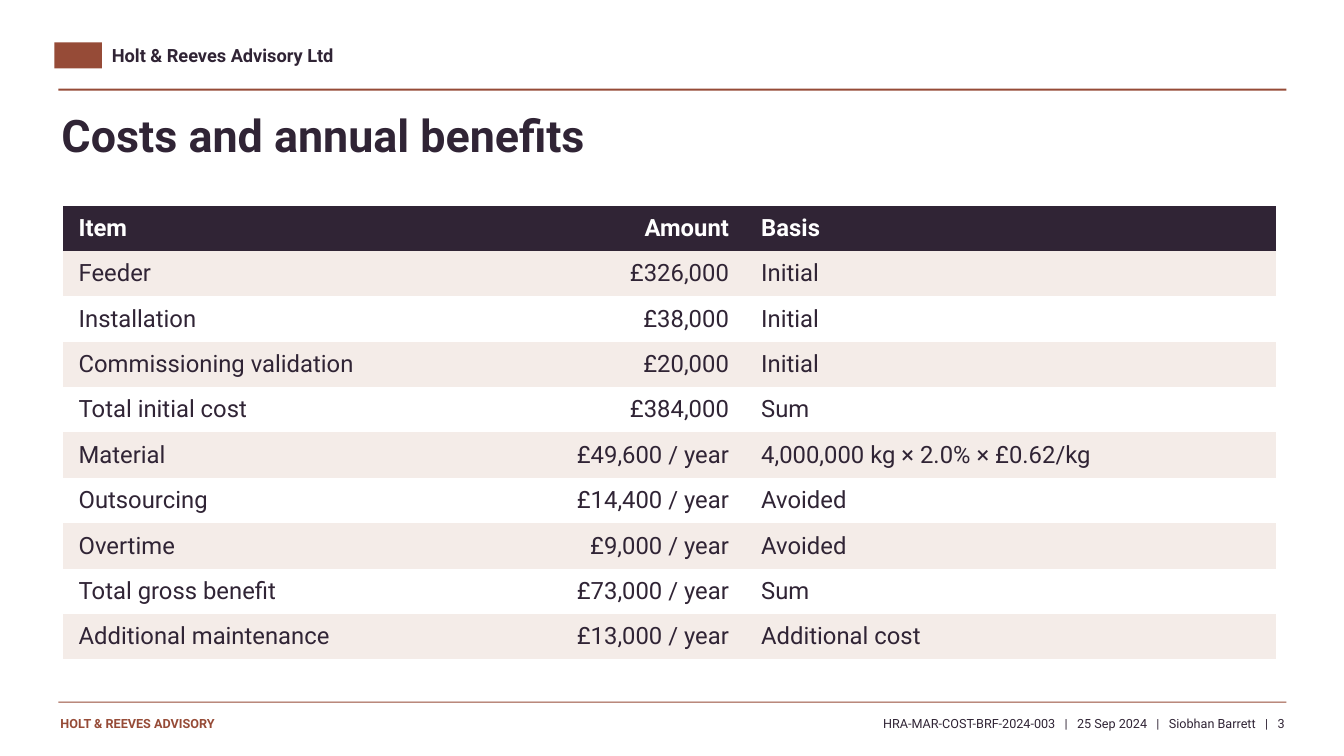
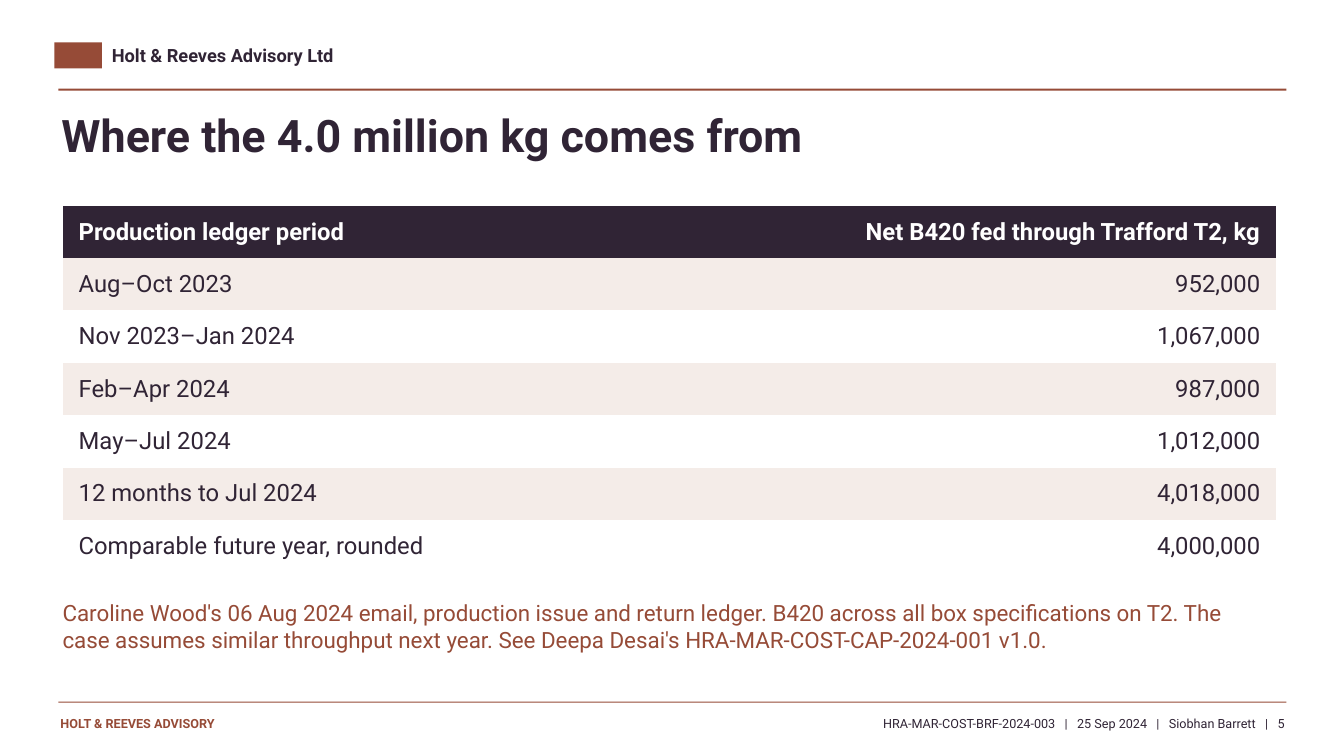
from pptx import Presentation
from pptx.dml.color import RGBColor
from pptx.enum.shapes import MSO_SHAPE
from pptx.enum.text import MSO_ANCHOR, PP_ALIGN
from pptx.oxml.ns import qn
from pptx.util import Pt

PX = 9144  # 100 px to the inch
RECT = MSO_SHAPE.RECTANGLE
MIDDLE = MSO_ANCHOR.MIDDLE
LEFT, RIGHT = PP_ALIGN.LEFT, PP_ALIGN.RIGHT

PLUM = RGBColor(0x30, 0x24, 0x35)
RUST = RGBColor(0x96, 0x4B, 0x37)
BLUSH = RGBColor(0xF4, 0xEC, 0xE8)
WHITE = RGBColor(0xFF, 0xFF, 0xFF)

PLAIN = "{2D5ABB26-0587-4C30-8999-92F81FD0307C}"  # no style, no grid
INSETS = {"margin_left": 16, "margin_right": 16, "margin_top": 3, "margin_bottom": 3}

# Mark, top rule, bottom rule
BARS = [(54, 42, 47, 26), (58, 88, 1218, 2), (58, 696, 1218, 1)]
LABELS = [
    ("Holt & Reeves Advisory Ltd", (111, 44, 600, 27), 13, PLUM),
    ("HOLT & REEVES ADVISORY", (60, 710, 340, 25), 9, RUST),
]
FOOTER = ["HRA-MAR-COST-BRF-2024-003", "25 Sep 2024", "Siobhan Barrett"]

PAGES = [
    {
        "title": "Costs and annual benefits",
        "number": "3",
        "widths": [415, 262, 527],
        "height": 45,
        "rows": [
            ("Item", "Amount", "Basis"),
            ("Feeder", "£326,000", "Initial"),
            ("Installation", "£38,000", "Initial"),
            ("Commissioning validation", "£20,000", "Initial"),
            ("Total initial cost", "£384,000", "Sum"),
            ("Material", "£49,600 / year", "4,000,000 kg × 2.0% × £0.62/kg"),
            ("Outsourcing", "£14,400 / year", "Avoided"),
            ("Overtime", "£9,000 / year", "Avoided"),
            ("Total gross benefit", "£73,000 / year", "Sum"),
            ("Additional maintenance", "£13,000 / year", "Additional cost"),
        ],
    },
    {
        "title": "Where the 4.0 million kg comes from",
        "number": "5",
        "widths": [566, 638],
        "height": 52,
        "rows": [
            ("Production ledger period", "Net B420 fed through Trafford T2, kg"),
            ("Aug–Oct 2023", "952,000"),
            ("Nov 2023–Jan 2024", "1,067,000"),
            ("Feb–Apr 2024", "987,000"),
            ("May–Jul 2024", "1,012,000"),
            ("12 months to Jul 2024", "4,018,000"),
            ("Comparable future year, rounded", "4,000,000"),
        ],
        "note": "Caroline Wood's 06 Aug 2024 email, production issue and return ledger. "
                "B420 across all box specifications on T2. The case assumes similar "
                "throughput next year. See Deepa Desai's HRA-MAR-COST-CAP-2024-001 v1.0.",
    },
]


def write(para, text, size, color, bold=False):
    run = para.add_run()
    run.text = text
    style = {"name": "Roboto", "size": Pt(size), "bold": bold}
    for key, value in style.items():
        setattr(run.font, key, value)
    run.font.color.rgb = color
    return run


def add_box(slide, area):
    """Add a text box without insets and return its first paragraph."""
    frame = slide.shapes.add_textbox(*(n * PX for n in area)).text_frame
    frame.word_wrap = True
    for key in INSETS:
        setattr(frame, key, 0)
    return frame.paragraphs[0]


prs = Presentation()
prs.slide_width, prs.slide_height = 1333 * PX, 750 * PX

for page in PAGES:
    slide = prs.slides.add_slide(prs.slide_layouts[6])

    for area in BARS:
        bar = slide.shapes.add_shape(RECT, *(n * PX for n in area))
        bar.shadow.inherit = False
        bar.fill.solid()
        bar.fill.fore_color.rgb = RUST
        bar.line.fill.background()

    title = (page["title"], (61, 107, 1200, 78), 32, PLUM)
    for text, area, size, color in [*LABELS, title]:
        write(add_box(slide, area), text, size, color, True)

    rows, widths, height = page["rows"], page["widths"], page["height"]
    area = (62, 204, sum(widths), height * len(rows))
    frame = slide.shapes.add_table(len(rows), len(widths), *(n * PX for n in area))
    for tag in frame.element.iter(qn("a:tableStyleId")):
        tag.text = PLAIN
    table = frame.table
    table.horz_banding = False
    for col, width in zip(table.columns, widths):
        col.width = width * PX
    for r, row in enumerate(rows):
        table.rows[r].height = height * PX
        head = r == 0
        fill = PLUM if head else BLUSH if r % 2 else WHITE
        for c, text in enumerate(row):
            cell = table.cell(r, c)
            cell.vertical_anchor = MIDDLE
            for key, value in INSETS.items():
                setattr(cell, key, value * PX)
            cell.fill.solid()
            cell.fill.fore_color.rgb = fill
            para = cell.text_frame.paragraphs[0]
            para.alignment = RIGHT if c == 1 else LEFT
            write(para, text, 17, WHITE if head else PLUM, head)

    if "note" in page:
        write(add_box(slide, (62, 594, 1195, 72)), page["note"], 16, RUST)

    para = add_box(slide, (412, 710, 862, 22))
    para.alignment = RIGHT
    for part in FOOTER:
        write(para, part, 9, PLUM)
        for mark in " | ":
            run = write(para, mark, 9, PLUM)
            if mark == " ":
                run.font._element.set("spc", "446")  # widen the gap
    write(para, page["number"], 9, PLUM)

prs.save("out.pptx")
